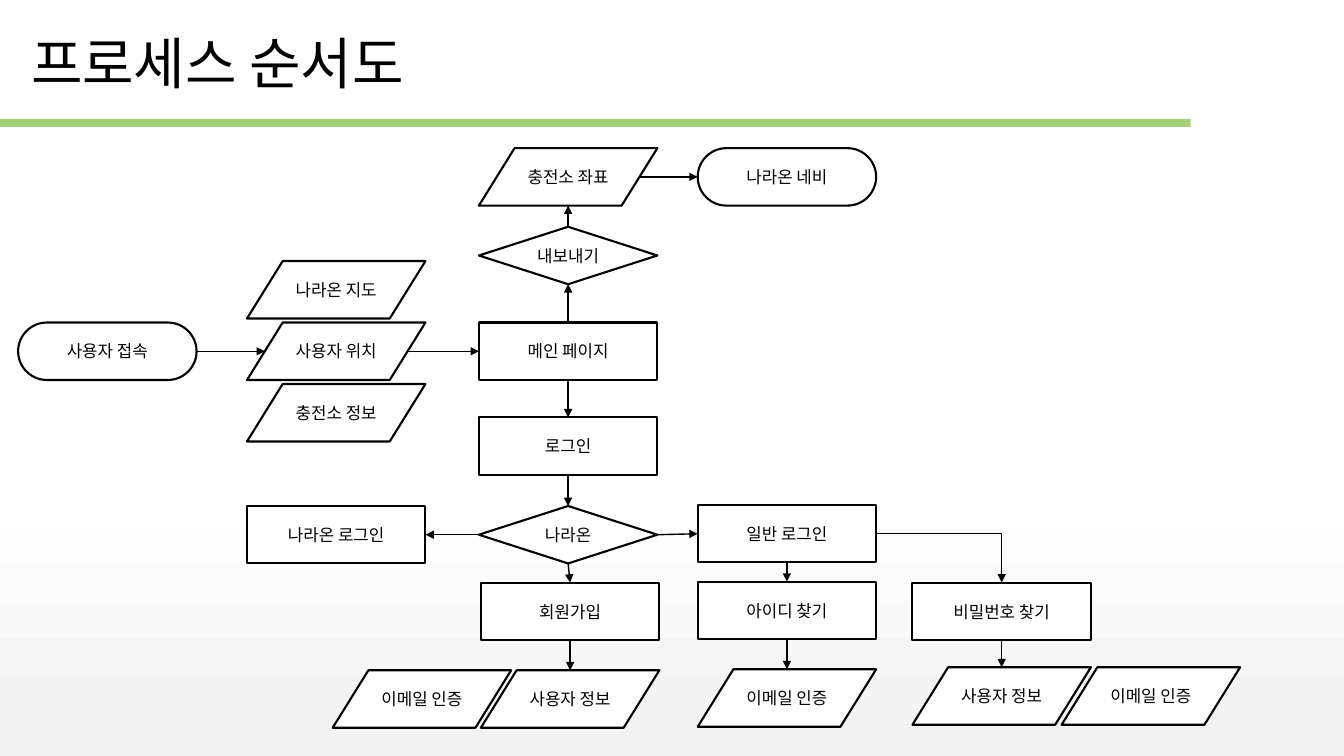
from lxml import etree
from pptx import Presentation
from pptx.dml.color import RGBColor
from pptx.enum.shapes import MSO_CONNECTOR, MSO_SHAPE
from pptx.enum.text import MSO_ANCHOR, PP_ALIGN
from pptx.oxml.ns import qn
from pptx.util import Inches, Pt

PAGE = MSO_SHAPE.RECTANGLE
DATA = MSO_SHAPE.FLOWCHART_DATA
DECISION = MSO_SHAPE.FLOWCHART_DECISION
TERMINAL = MSO_SHAPE.ROUNDED_RECTANGLE
STRAIGHT, ELBOW = MSO_CONNECTOR.STRAIGHT, MSO_CONNECTOR.ELBOW
CENTER, MIDDLE = PP_ALIGN.CENTER, MSO_ANCHOR.MIDDLE
TOP, LEFT, BOTTOM, RIGHT = range(4)

FONT = "Noto Sans CJK KR"
COLORS = {"ink": "000000", "paper": "FFFFFF", "shade": "F2F2F2", "rule": "A5D07A"}
NODE_WIDTH, NODE_HEIGHT = 1.77, 0.57
DATA_SLANT = NODE_WIDTH / 10  # inset of a data shape's side at mid-height
COLUMNS = [0.18, 2.45, 4.75, 6.92, 9.05]

# key: (label, kind, left, top)
NODES = {
    "visit": ("사용자 접속", TERMINAL, COLUMNS[0], 3.2),
    "map": ("나라온 지도", DATA, COLUMNS[1], 2.59),
    "location": ("사용자 위치", DATA, COLUMNS[1], 3.2),
    "stations": ("충전소 정보", DATA, COLUMNS[1], 3.81),
    "partner login": ("나라온 로그인", PAGE, COLUMNS[1], 5.02),
    "coordinates": ("충전소 좌표", DATA, COLUMNS[2], 1.47),
    "export": ("내보내기", DECISION, COLUMNS[2], 2.25),
    "main": ("메인 페이지", PAGE, COLUMNS[2], 3.2),
    "login": ("로그인", PAGE, COLUMNS[2], 4.14),
    "partner": ("나라온", DECISION, COLUMNS[2], 5.02),
    "sign up": ("회원가입", PAGE, 4.77, 5.78),
    "sign up email": ("이메일 인증", DATA, 3.3, 6.65),
    "sign up user": ("사용자 정보", DATA, 4.77, 6.65),
    "navigation": ("나라온 네비", TERMINAL, COLUMNS[3], 1.47),
    "own login": ("일반 로그인", PAGE, COLUMNS[3], 5.01),
    "find id": ("아이디 찾기", PAGE, COLUMNS[3], 5.77),
    "id email": ("이메일 인증", DATA, COLUMNS[3], 6.64),
    "find password": ("비밀번호 찾기", PAGE, COLUMNS[4], 5.78),
    "password user": ("사용자 정보", DATA, COLUMNS[4], 6.62),
    "password email": ("이메일 인증", DATA, 10.53, 6.62),
}

ARROWS = [
    ("visit", RIGHT, "location", LEFT),
    ("location", RIGHT, "main", LEFT),
    ("main", TOP, "export", BOTTOM),
    ("export", TOP, "coordinates", BOTTOM),
    ("coordinates", RIGHT, "navigation", LEFT),
    ("main", BOTTOM, "login", TOP),
    ("login", BOTTOM, "partner", TOP),
    ("partner", LEFT, "partner login", RIGHT),
    ("partner", RIGHT, "own login", LEFT),
    ("partner", BOTTOM, "sign up", TOP),
    ("sign up", BOTTOM, "sign up user", TOP),
    ("own login", BOTTOM, "find id", TOP),
    ("find id", BOTTOM, "id email", TOP),
    ("own login", RIGHT, "find password", TOP),
    ("find password", BOTTOM, "password user", TOP),
]


def side_point(key, side):
    """Return the middle of a node's side in inches."""
    _, kind, left, top = NODES[key]
    inset = DATA_SLANT if kind == DATA else 0
    center, middle = left + NODE_WIDTH / 2, top + NODE_HEIGHT / 2
    return {
        TOP: (center, top),
        LEFT: (left + inset, middle),
        BOTTOM: (center, top + NODE_HEIGHT),
        RIGHT: (left + NODE_WIDTH - inset, middle),
    }[side]


class FlowchartSlide:
    """Draws styled flowchart elements on one slide."""

    def __init__(self, presentation):
        self.slide = presentation.slides.add_slide(presentation.slide_layouts[6])
        self.nodes = {}

    def color(self, name):
        return RGBColor.from_string(COLORS[name])

    def background(self):
        fill = self.slide.background.fill
        fill.gradient()
        fill.gradient_angle = 270
        for stop, position, name in zip(
            fill.gradient_stops, (0.65, 0.99), ("paper", "shade")
        ):
            stop.position = position
            stop.color.rgb = self.color(name)

    def set_text(self, frame, text, size):
        frame.word_wrap = True
        paragraph = frame.paragraphs[0]
        paragraph.text = text
        paragraph.font.name = FONT
        paragraph.font.size = Pt(size)
        paragraph.font.color.rgb = self.color("ink")
        properties = paragraph._p.pPr.find(qn("a:defRPr"))
        etree.SubElement(properties, qn("a:ea"), typeface=FONT)
        return paragraph

    def title(self, text):
        box = self.slide.shapes.add_textbox(
            Inches(0.21), Inches(0.23), Inches(11.6), Inches(0.77)
        )
        self.set_text(box.text_frame, text, 40)

    def shape(self, kind, left, top, width, height, fill):
        shape = self.slide.shapes.add_shape(
            kind, Inches(left), Inches(top), Inches(width), Inches(height)
        )
        shape.shadow.inherit = False
        shape.fill.solid()
        shape.fill.fore_color.rgb = self.color(fill)
        return shape

    def rule(self):
        self.shape(PAGE, 0, 1.18, 11.81, 0.08, "rule").line.fill.background()

    def node(self, key):
        label, kind, left, top = NODES[key]
        shape = self.shape(kind, left, top, NODE_WIDTH, NODE_HEIGHT, "paper")
        if kind == TERMINAL:
            shape.adjustments[0] = 0.5
        shape.line.color.rgb = self.color("ink")
        shape.line.width = Pt(1.5)
        shape.text_frame.vertical_anchor = MIDDLE
        self.set_text(shape.text_frame, label, 12).alignment = CENTER
        self.nodes[key] = shape

    def arrow(self, source, source_side, target, target_side):
        """Join two node sides; a right-to-top arrow turns one corner."""
        turns = (source_side, target_side) == (RIGHT, TOP)
        points = side_point(source, source_side) + side_point(target, target_side)
        connector = self.slide.shapes.add_connector(
            ELBOW if turns else STRAIGHT, *map(Inches, points)
        )
        if NODES[source][1] != DATA:
            connector.begin_connect(self.nodes[source], source_side)
        if NODES[target][1] != DATA:
            connector.end_connect(self.nodes[target], target_side)
        connector.line.color.rgb = self.color("ink")
        connector.line.width = Pt(1)
        properties = connector._element.spPr
        if turns:
            properties.find(qn("a:prstGeom")).set("prst", "bentConnector2")
        line = properties.find(qn("a:ln"))
        etree.SubElement(line, qn("a:tailEnd"), type="triangle")
        etree.SubElement(properties, qn("a:effectLst"))


def main():
    presentation = Presentation()
    presentation.slide_width = Inches(13.33)
    presentation.slide_height = Inches(7.5)
    flowchart = FlowchartSlide(presentation)
    flowchart.background()
    flowchart.rule()
    flowchart.title("프로세스 순서도")
    for key in NODES:
        flowchart.node(key)
    for arrow in ARROWS:
        flowchart.arrow(*arrow)
    presentation.save("out.pptx")


if __name__ == "__main__":
    main()
